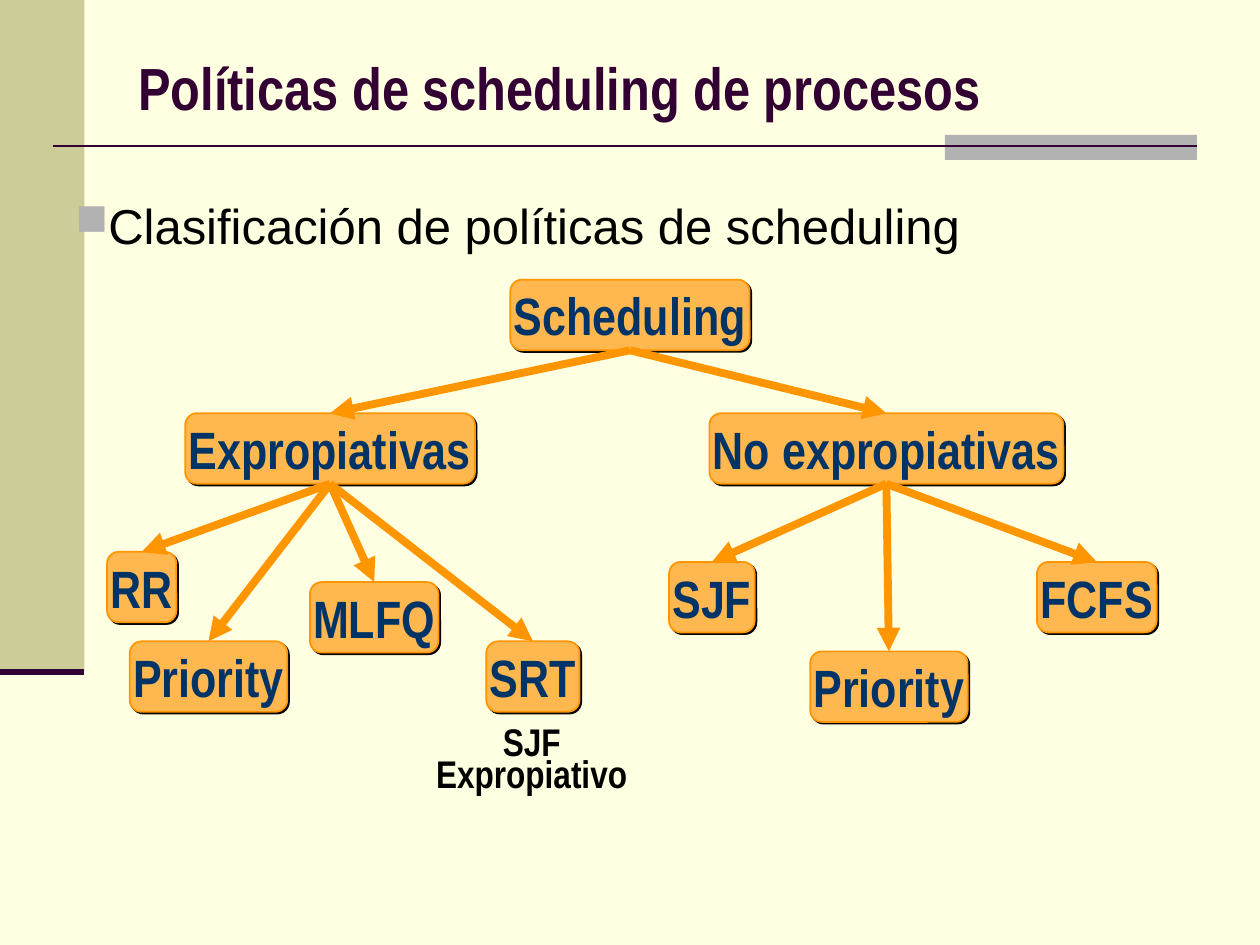
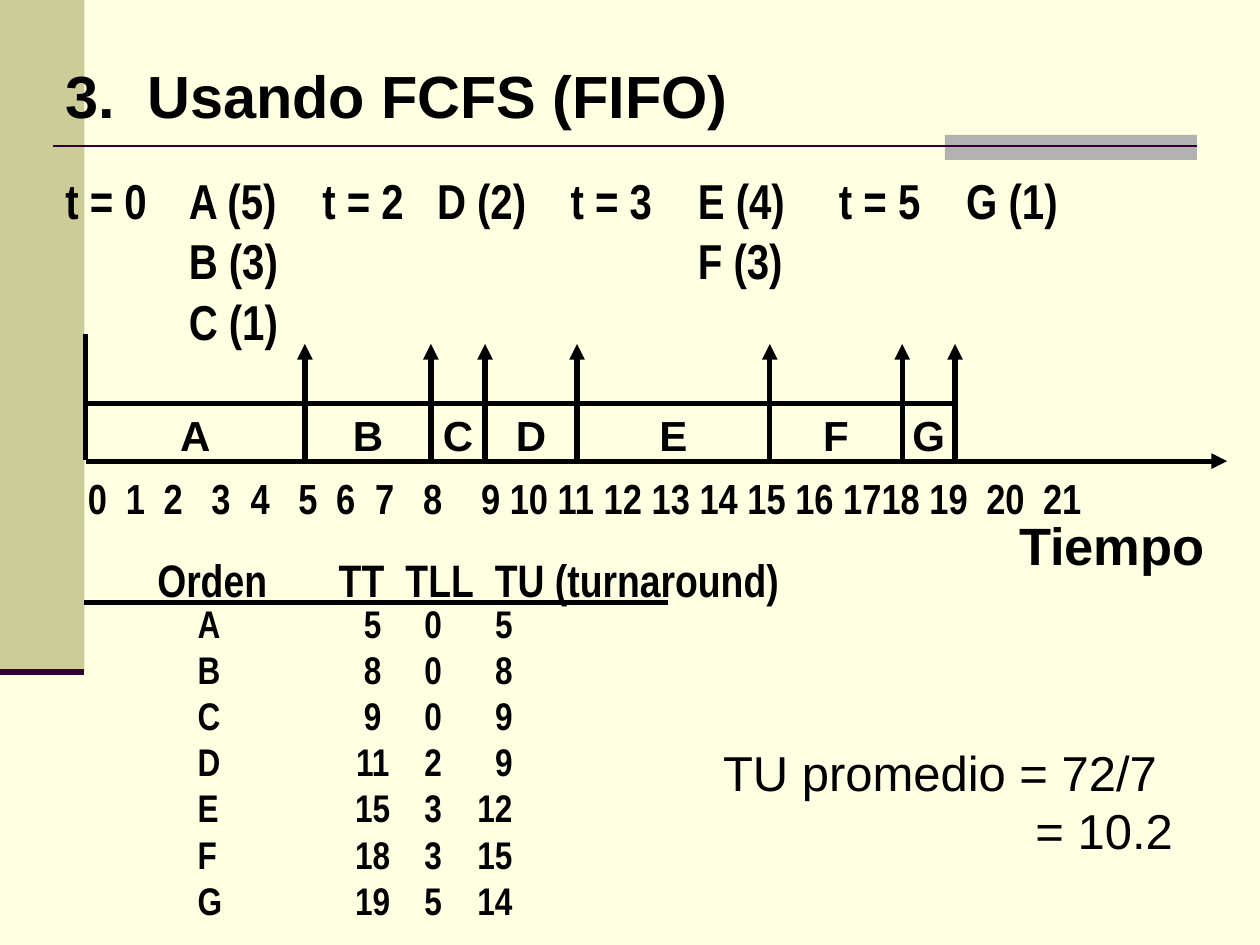
import pptx
import pptx.dml.color
import pptx.enum.shapes
import pptx.enum.text
import pptx.oxml
import pptx.oxml.ns
import pptx.util
from lxml import etree

COLORS = {
    "cream": "FFFFE1", "olive": "CCCC99", "gray": "B2B2B2", "plum": "330033",
    "black": "000000", "navy": "003366", "amber": "FFB84F", "orange": "FF9600",
}
RGB = {name: pptx.dml.color.RGBColor.from_string(value) for name, value in COLORS.items()}
ALIGN = pptx.enum.text.PP_ALIGN
ANCHOR = pptx.enum.text.MSO_ANCHOR
SHAPE = pptx.enum.shapes.MSO_SHAPE
STRAIGHT = pptx.enum.shapes.MSO_CONNECTOR.STRAIGHT
qn = pptx.oxml.ns.qn

# The slide is a grid of 100 columns by 75 rows
presentation = pptx.Presentation()
presentation.slide_width = pptx.util.Inches(10)
presentation.slide_height = pptx.util.Inches(7.5)
CELL = presentation.slide_width / 100


def write(shape, lines, font, size, color="black", bold=True, align=ALIGN.LEFT,
          anchor=ANCHOR.TOP, margins=(1, 0.5), wrap=True, tabs=(), spacing=None,
          before=0, bullet=None):
    """Fill a shape with paragraphs; margins and tab stops are in grid cells."""
    frame = shape.text_frame
    frame.word_wrap = wrap
    frame.vertical_anchor = anchor
    frame.margin_left = frame.margin_right = int(margins[0] * CELL)
    frame.margin_top = frame.margin_bottom = int(margins[1] * CELL)
    for index, line in enumerate(lines):
        paragraph = frame.add_paragraph() if index else frame.paragraphs[0]
        paragraph.text = line
        paragraph.alignment = align
        if spacing:
            paragraph.line_spacing = spacing
        if index and before:
            paragraph.space_before = pptx.util.Pt(before)
        properties = paragraph._p.get_or_add_pPr()
        if bullet:
            indent = int(1.8 * CELL)
            properties.set("marL", str(indent))
            properties.set("indent", str(-indent))
            bullet_color = etree.SubElement(properties, qn("a:buClr"))
            etree.SubElement(bullet_color, qn("a:srgbClr"), val=COLORS["gray"])
            etree.SubElement(properties, qn("a:buSzPct"), val="90000")
            etree.SubElement(properties, qn("a:buChar"), char=bullet)
        if tabs:
            tab_list = etree.SubElement(properties, qn("a:tabLst"))
            for position, side in tabs:
                etree.SubElement(tab_list, qn("a:tab"), pos=str(int(position * CELL)), algn=side)
        paragraph.font.name = font
        paragraph.font.size = pptx.util.Pt(size)
        paragraph.font.bold = bold
        paragraph.font.color.rgb = RGB[color]


def add_line(slide, start, end, color, width, arrow=False):
    """Draw a straight line between two (column, row) points."""
    line = slide.shapes.add_connector(
        STRAIGHT, *(int(value * CELL) for value in (*start, *end)))
    line.line.color.rgb = RGB[color]
    line.line.width = pptx.util.Pt(width)
    if arrow:
        etree.SubElement(line.line._get_or_add_ln(), qn("a:tailEnd"), type="triangle")
    etree.SubElement(line._element.spPr, qn("a:effectLst"))
    return line


# Shared background, bands and title rules
presentation.slide_master.background.fill.solid()
presentation.slide_master.background.fill.fore_color.rgb = RGB["cream"]
for _ in range(2):
    slide = presentation.slides.add_slide(presentation.slide_layouts[6])
    for color, *place in (("olive", 0, 0, 6.7, 53.3), ("gray", 75, 10.7, 20, 2)):
        band = slide.shapes.add_shape(SHAPE.RECTANGLE, *(int(value * CELL) for value in place))
        band.shadow.inherit = False
        band.fill.solid()
        band.fill.fore_color.rgb = RGB[color]
        band.line.fill.background()
    add_line(slide, (4.2, 11.6), (95, 11.6), "plum", 1.5)
    add_line(slide, (0, 53.3), (6.7, 53.3), "plum", 3.5)
tree_slide, fcfs_slide = presentation.slides

# Text boxes of both slides: slide, place in cells, lines, font, size, options
left_tabs = lambda *positions: [(position, "l") for position in positions]
text_boxes = [
    # Classification tree
    (tree_slide, (10, 3, 85, 7.7), ["Políticas de scheduling de procesos"],
     "Arial Narrow", 34, dict(color="plum", anchor=ANCHOR.MIDDLE)),
    (tree_slide, (5, 15, 90, 7), ["Clasificación de políticas de scheduling"],
     "Arial", 28, dict(bold=False, bullet="■")),
    (tree_slide, (27.4, 58, 29.6, 5.1), ["SJF", "Expropiativo"], "Arial Narrow", 22,
     dict(align=ALIGN.CENTER, anchor=ANCHOR.MIDDLE, margins=(0, 0), spacing=0.7)),
    # FCFS example: title and arrivals
    (fcfs_slide, (4.2, 1.3, 85, 12.5), ["3.\tUsando FCFS (FIFO)"], "Arial", 34,
     dict(anchor=ANCHOR.MIDDLE, tabs=left_tabs(6.5))),
    (fcfs_slide, (4.2, 15.1, 94.2, 12.9),
     ["t = 0\tA (5)\tt = 2\tD (2)\tt = 3\tE (4)\tt = 5\tG (1)"]
     + ["\tB (3)\t\t\t\tF (3)", "\tC (1)"],
     "Arial Narrow", 28,
     dict(spacing=0.5, before=17.5,
          tabs=left_tabs(9.8, 20.4, 29.5, 40.1, 50.2, 61.4, 71.5))),
    # Time axis labels
    (fcfs_slide, (79.9, 40.2, 18, 6), ["Tiempo"], "Arial", 30, {}),
    (fcfs_slide, (6, 37, 90, 5),
     ["0\t1\t2\t3\t4\t5\t6\t7\t8\t9 10 11 12 13 14 15 16 1718 19\t20\t21"],
     "Arial Narrow", 24,
     dict(tabs=left_tabs(3, 6, 9.8, 12.9, 16.7, 19.7, 22.8, 26.6, 31.2, 71.3, 75.8))),
    # Turnaround results
    (fcfs_slide, (14.7, 47.1, 4.5, 26.6), list("ABCDEFG"), "Arial Narrow", 22, {}),
    (fcfs_slide, (27.1, 47.1, 16, 26.6),
     [f"\t{end}\t{arrival}\t{end - arrival}" for end, arrival in
      ((5, 0), (8, 0), (9, 0), (11, 2), (15, 3), (18, 3), (19, 5))],
     "Arial Narrow", 22, dict(tabs=[(1.5, "ctr"), (6.3, "ctr"), (12.6, "r")])),
    (fcfs_slide, (11.5, 43.3, 58, 5.3), ["Orden\tTT\tTLL\tTU (turnaround)"],
     "Arial Narrow", 26, dict(tabs=left_tabs(14.4, 19.7, 26.8))),
    (fcfs_slide, (56.4, 58.4, 40, 10.4), ["TU promedio = 72/7", "\t= 10.2"],
     "Arial", 28, dict(bold=False, tabs=left_tabs(24.8))),
]
for slide, place, lines, font, size, options in text_boxes:
    box = slide.shapes.add_textbox(*(int(value * CELL) for value in place))
    write(box, lines, font, size, **options)

# Tree nodes: key, label, column, row, width in columns
nodes = {}
for key, label, column, row, columns in (
        ("root", "Scheduling", 40.5, 22.2, 19),
        ("preemptive", "Expropiativas", 14.7, 32.8, 23),
        ("cooperative", "No expropiativas", 56.3, 32.8, 28.1),
        ("rr", "RR", 8.5, 43.8, 5.5),
        ("priority", "Priority", 10.3, 50.9, 12.5),
        ("mlfq", "MLFQ", 24.6, 46.2, 10.2),
        ("srt", "SRT", 38.6, 50.9, 7.4),
        ("sjf", "SJF", 53.1, 44.6, 6.8),
        ("fixed_priority", "Priority", 64.3, 51.7, 12.5),
        ("fcfs", "FCFS", 82.3, 44.6, 9.5)):
    node = tree_slide.shapes.add_shape(
        SHAPE.ROUNDED_RECTANGLE, *(int(value * CELL) for value in (column, row, columns, 5.6)))
    node.adjustments[0] = 0.167
    node.fill.solid()
    node.fill.fore_color.rgb = RGB["amber"]
    node.line.color.rgb = RGB["orange"]
    node.line.width = pptx.util.Pt(1)
    node.shadow.inherit = False
    effects = node._element.spPr.find(qn("a:effectLst"))
    shadow = etree.SubElement(effects, qn("a:outerShdw"), dist="17780", dir="2700000")
    etree.SubElement(shadow, qn("a:srgbClr"), val=COLORS["black"])
    write(node, [label], "Arial Narrow", 30, "navy", align=ALIGN.CENTER,
          anchor=ANCHOR.MIDDLE, margins=(0, 0), wrap=False)
    nodes[key] = node

# Tree arrows from the bottom of each parent to the top of its children
for parent, children in (
        ("preemptive", ("rr", "priority", "mlfq", "srt")),
        ("cooperative", ("sjf", "fixed_priority", "fcfs")),
        ("root", ("preemptive", "cooperative"))):
    for child in children:
        arrow = add_line(tree_slide, (0, 0), (0, 0), "orange", 4.5, arrow=True)
        arrow.begin_connect(nodes[parent], 2)
        arrow.end_connect(nodes[child], 0)

# Gantt chart: axis, top edge, start mark, and an arrow where each process ends
marks = (6.8, 24.2, 34.2, 38.5, 45.8, 61.1, 71.6, 75.8)
add_line(fcfs_slide, (marks[0], 36.6), (97.4, 36.6), "black", 3, arrow=True)
add_line(fcfs_slide, (marks[0], 32), (marks[-1], 32), "black", 3)
add_line(fcfs_slide, (marks[0], 36.5), (marks[0], 26.5), "black", 3)
for process, start, end in zip("ABCDEFG", marks, marks[1:]):
    add_line(fcfs_slide, (end, 36.8), (end, 27.3), "black", 3, arrow=True)
    box = fcfs_slide.shapes.add_textbox(
        *(int(value * CELL) for value in (start, 32, end - start, 5)))
    write(box, [process], "Arial", 24, align=ALIGN.CENTER, margins=(0, 0.5))

# Rule under the results header
add_line(fcfs_slide, (6.7, 47.8), (53, 47.8), "black", 3)

presentation.save("out.pptx")
